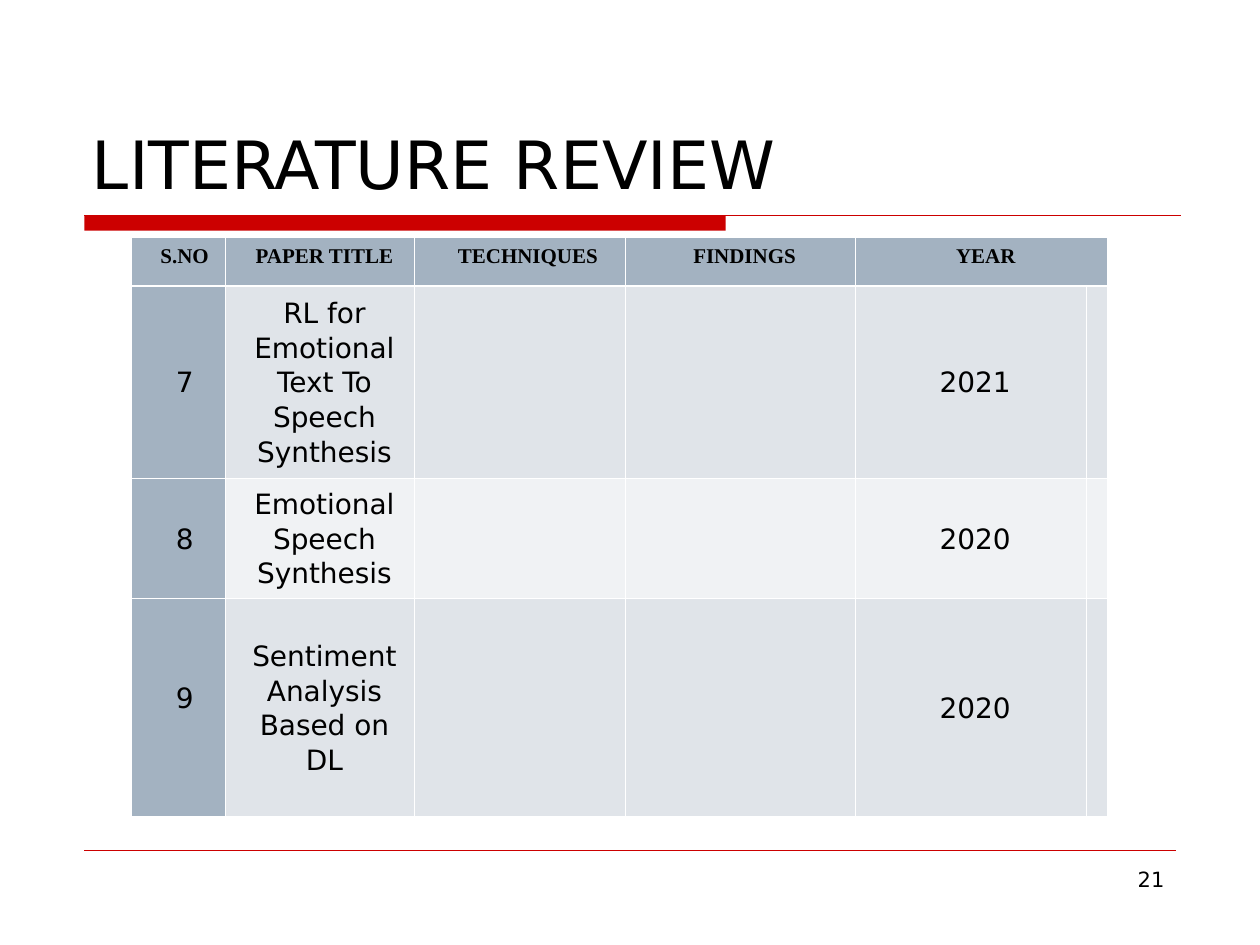
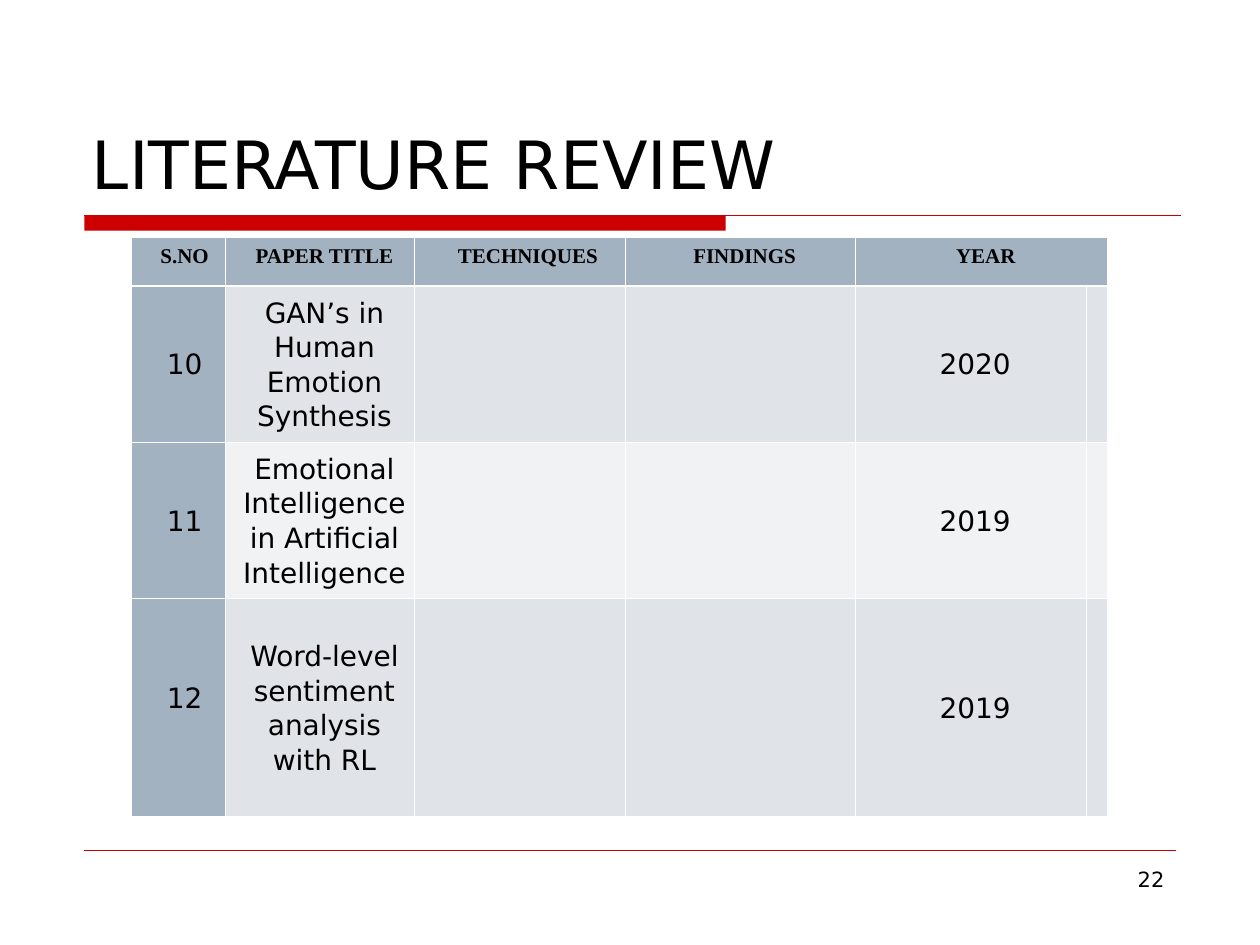
from lxml.etree import SubElement
from pptx import Presentation
from pptx.dml.color import RGBColor
from pptx.enum.shapes import MSO_CONNECTOR, MSO_SHAPE
from pptx.enum.text import MSO_ANCHOR as Anchor, MSO_AUTO_SIZE as AutoSize, PP_ALIGN as Align
from pptx.oxml.ns import qn
from pptx.util import Inches, Pt

COLORS = {"red": "CC0000", "black": "000000", "white": "FFFFFF",
          "header": "A3B2C1", "dark_row": "E0E4E9", "light_row": "F0F2F4"}
BODY_FONT, HEADER_FONT = "DejaVu Sans", "Times New Roman"
TITLE = "LITERATURE REVIEW"
HEADERS = ["S.NO", "PAPER TITLE", "TECHNIQUES", "FINDINGS", "YEAR", ""]
COLUMN_WIDTHS = [0.75, 1.5, 1.67, 1.83, 1.83, 0.08]
HEADER_INDENTS = [0.03, 0, 0.06, 0, 0, 0]

# Each page: slide number, row heights, papers (number, title, year)
PAGES = [
    (21, [0.39, 1.46, 0.89, 1.73], [
        ("7", "RL for Emotional Text To Speech Synthesis", "2021"),
        ("8", "Emotional Speech Synthesis", "2020"),
        ("9", "Sentiment Analysis Based on DL", "2020")]),
    (22, [0.39, 1.17, 1.17, 1.73], [
        ("10", "GAN’s in Human Emotion Synthesis", "2020"),
        ("11", "Emotional Intelligence in Artificial Intelligence", "2019"),
        ("12", "Word-level sentiment analysis with RL", "2019")]),
]


def style_text(text_frame, size, align, font=BODY_FONT, bold=False):
    paragraph = text_frame.paragraphs[0]
    paragraph.alignment = align
    for run in paragraph.runs:
        run.font.size, run.font.name, run.font.bold = Pt(size), font, bold
        run.font.color.rgb = RGBColor.from_string(COLORS["black"])
    return paragraph


def add_rule(slide, top, right, width):
    rule = slide.shapes.add_connector(
        MSO_CONNECTOR.STRAIGHT, Inches(0.67), Inches(top), Inches(right), Inches(top))
    rule.line.color.rgb = RGBColor.from_string(COLORS["red"])
    rule.line.width = Pt(width)
    SubElement(rule._element.spPr, qn("a:effectLst"))


presentation = Presentation()
presentation.slide_width, presentation.slide_height = Inches(10), Inches(7.5)

for slide_number, row_heights, papers in PAGES:
    slide = presentation.slides.add_slide(presentation.slide_layouts[5])

    # Title
    title = slide.shapes.title
    title.left, title.top = Inches(0.63), Inches(0.33)
    title.width, title.height = Inches(8.75), Inches(1.33)
    title.text_frame.text = TITLE
    title.text_frame.auto_size = AutoSize.NONE
    title.text_frame.vertical_anchor = Anchor.BOTTOM
    style_text(title.text_frame, 38, Align.LEFT)

    # Title band and footer rule
    band = slide.shapes.add_shape(
        MSO_SHAPE.RECTANGLE, Inches(0.67), Inches(1.71), Inches(5.09), Inches(0.12))
    band.shadow.inherit = False
    band.fill.solid()
    band.fill.fore_color.rgb = RGBColor.from_string(COLORS["red"])
    band.line.fill.background()
    add_rule(slide, 1.71, 9.37, 0.75)
    add_rule(slide, 6.75, 9.33, 0.25)

    # Slide number
    number_box = slide.shapes.add_textbox(
        Inches(7.17), Inches(6.83), Inches(2.17), Inches(0.52))
    number_box.text_frame.word_wrap = True
    number_box.text_frame.text = str(slide_number)
    style_text(number_box.text_frame, 12, Align.RIGHT)

    # Literature table
    table = slide.shapes.add_table(
        len(row_heights), len(COLUMN_WIDTHS), Inches(1.04), Inches(1.88),
        Inches(sum(COLUMN_WIDTHS)), Inches(sum(row_heights))).table
    table.first_row = table.horz_banding = False
    for column, width in zip(table.columns, COLUMN_WIDTHS):
        column.width = Inches(width)
    for row, height in zip(table.rows, row_heights):
        row.height = Inches(height)

    rows = [HEADERS] + [[number, name, "", "", year, ""] for number, name, year in papers]
    last_row = len(rows) - 1
    for row_index, texts in enumerate(rows):
        is_header = row_index == 0
        for column_index, text in enumerate(texts):
            cell = table.cell(row_index, column_index)
            cell.margin_left, cell.margin_right = Inches(0.1), Inches(0.03)
            cell.margin_top = cell.margin_bottom = Inches(0.05)
            cell.vertical_anchor = Anchor.TOP if is_header else Anchor.MIDDLE
            if row_index == last_row and column_index == 0:
                cell.margin_bottom = Inches(0.2)  # the last number sits a little higher

            # Text
            cell.text_frame.text = text
            if is_header:
                paragraph = style_text(cell.text_frame, 12, Align.CENTER, HEADER_FONT, True)
                indent = HEADER_INDENTS[column_index]
            else:
                paragraph = style_text(cell.text_frame, 16, Align.CENTER)
                indent = 0.03 if column_index == 0 else 0
            paragraph.line_spacing = 1.07
            paragraph._p.get_or_add_pPr().set("marL", str(Inches(indent)))

            # Borders, heavier under the header
            for side in ("L", "R", "T", "B"):
                heavy = (row_index, side) in ((0, "B"), (1, "T"))
                border = SubElement(cell._tc.get_or_add_tcPr(), qn(f"a:ln{side}"),
                                    w=str(Pt(1.47 if heavy else 0.45)))
                SubElement(SubElement(border, qn("a:solidFill")), qn("a:srgbClr"),
                           val=COLORS["white"])

            # Fill
            if is_header or column_index == 0:
                fill = "header"
            else:
                fill = "dark_row" if row_index % 2 else "light_row"
            cell.fill.solid()
            cell.fill.fore_color.rgb = RGBColor.from_string(COLORS[fill])

    table.cell(0, 4).merge(table.cell(0, 5))

presentation.save("out.pptx")
